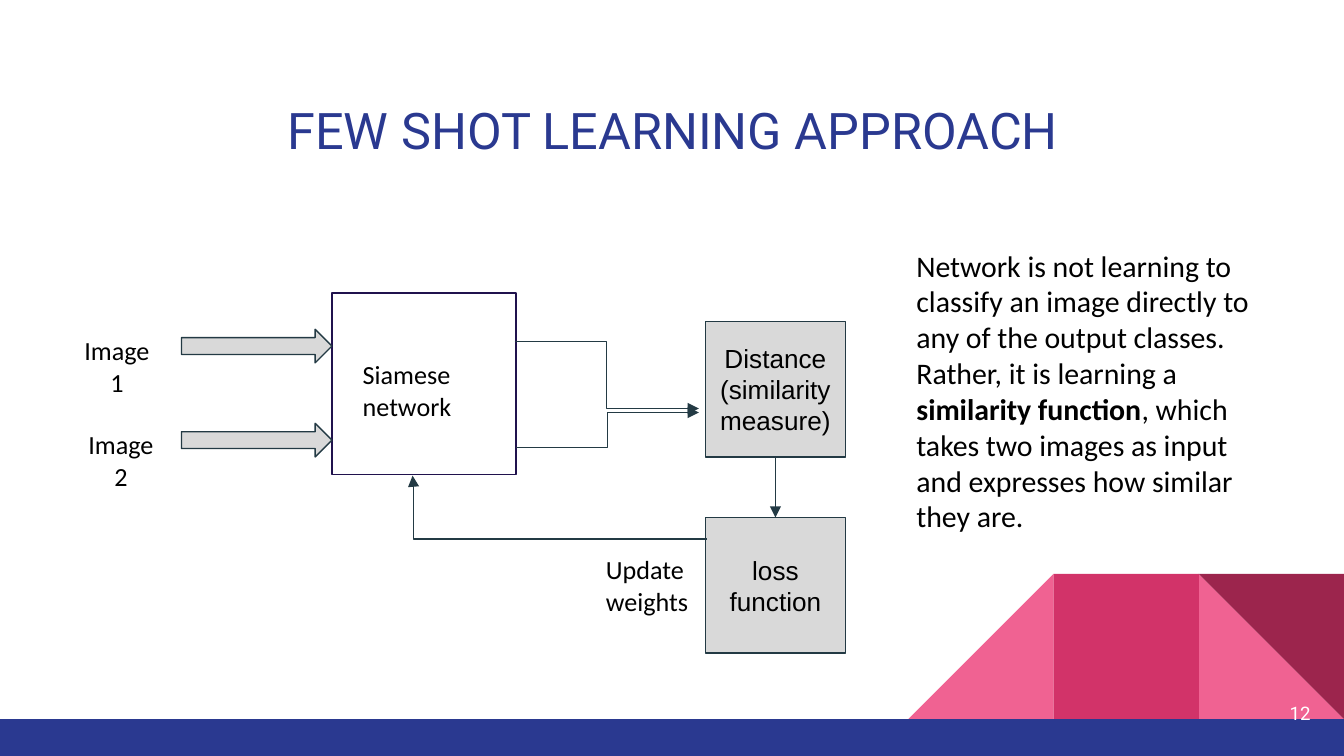
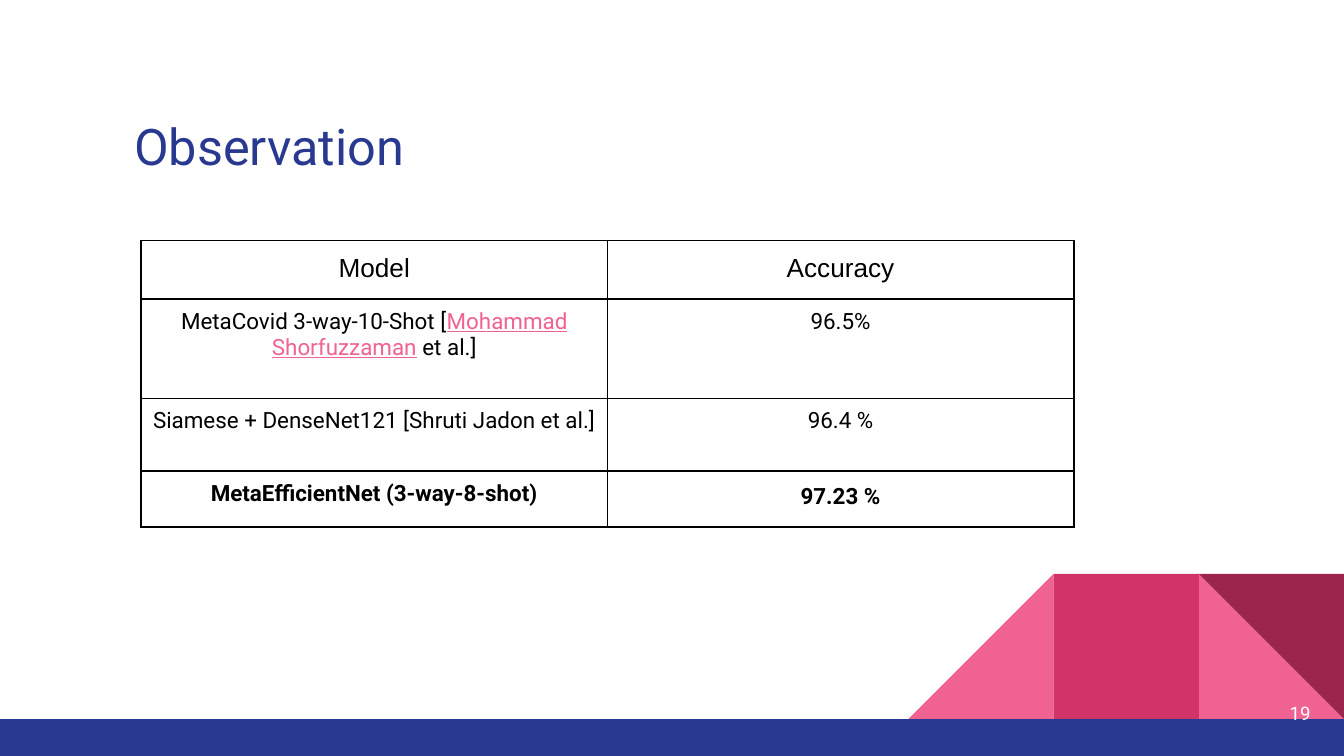
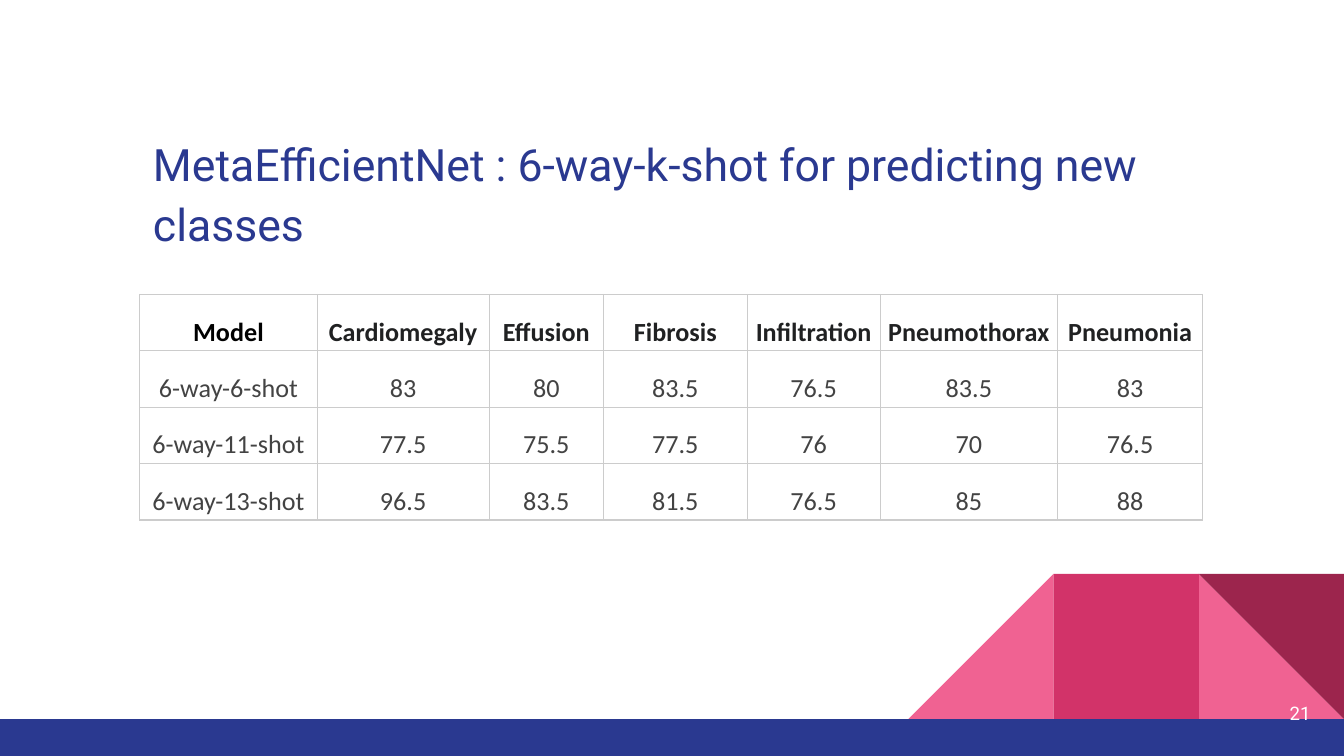
from dataclasses import dataclass, replace
from typing import NamedTuple, Optional, Sequence

from lxml import etree
from pptx import Presentation
from pptx.dml.color import RGBColor
from pptx.enum.shapes import MSO_CONNECTOR as Link, MSO_SHAPE as Geo
from pptx.enum.text import MSO_ANCHOR as Anchor, PP_ALIGN as Align
from pptx.oxml.ns import qn
from pptx.util import Inches, Pt

BLACK = RGBColor(0x00, 0x00, 0x00)
WHITE = RGBColor(0xFF, 0xFF, 0xFF)
NAVY = RGBColor(0x2A, 0x39, 0x90)
PINK = RGBColor(0xF0, 0x62, 0x92)
ROSE = RGBColor(0xD2, 0x33, 0x69)
WINE = RGBColor(0x9C, 0x25, 0x4D)
SLATE = RGBColor(0x23, 0x3A, 0x44)
INDIGO = RGBColor(0x20, 0x12, 0x4D)
LIGHT_GRAY = RGBColor(0xD9, 0xD9, 0xD9)
GRID_GRAY = RGBColor(0xCC, 0xCC, 0xCC)
HEADING_GRAY = RGBColor(0x20, 0x21, 0x22)
VALUE_GRAY = RGBColor(0x43, 0x43, 0x43)

SLIDE_W, SLIDE_H = 10, 5.625
BAND_TOP = 5.35
TILE = 1.08


class Box(NamedTuple):
    left: float
    top: float
    width: float
    height: float


@dataclass(frozen=True)
class Run:
    text: str
    size: float = 14
    font: str = "Calibri"
    color: RGBColor = BLACK
    bold: bool = False
    underline: bool = False


@dataclass(frozen=True)
class TextStyle:
    align: Align = Align.LEFT
    anchor: Anchor = Anchor.TOP
    spacing: float = 1.0


@dataclass(frozen=True)
class Node:
    box: Box
    geo: Geo = Geo.RECTANGLE
    fill: RGBColor = LIGHT_GRAY
    line: RGBColor = SLATE
    text: str = ""


@dataclass(frozen=True)
class Label:
    text: str
    box: Box
    align: Align = Align.LEFT


@dataclass(frozen=True)
class Arrow:
    start: tuple[float, float]
    end: tuple[float, float]
    bend: Optional[float] = None


@dataclass(frozen=True)
class Cell:
    runs: Sequence[Run]
    margins: tuple[float, float]
    style: TextStyle


CENTER = TextStyle(Align.CENTER)
MIDDLE = TextStyle(Align.CENTER, Anchor.MIDDLE)


def inches(values: Sequence[float]) -> list[Inches]:
    return [Inches(v) for v in values]


def write_runs(tf, runs: Sequence[Run], style: TextStyle) -> None:
    p = tf.paragraphs[0]
    p.alignment = style.align
    p.line_spacing = style.spacing
    for run in runs:
        r = p.add_run()
        r.text = run.text
        r.font.size = Pt(run.size)
        r.font.name = run.font
        r.font.color.rgb = run.color
        r.font.bold = run.bold
        r.font.underline = run.underline


def write_frame(sp, runs: Sequence[Run], style: TextStyle) -> None:
    tf = sp.text_frame
    tf.word_wrap = True
    tf.vertical_anchor = style.anchor
    tf.margin_left = tf.margin_right = tf.margin_top = tf.margin_bottom = Inches(0.1)
    write_runs(tf, runs, style)


def add_text(s, box: Box, runs: Sequence[Run], style: TextStyle = TextStyle()) -> None:
    write_frame(s.shapes.add_textbox(*inches(box)), runs, style)


def add_figure(s, geo: Geo, box: Box, fill: RGBColor, line: Optional[RGBColor] = None):
    sp = s.shapes.add_shape(geo, *inches(box))
    sp.shadow.inherit = False
    sp.fill.solid()
    sp.fill.fore_color.rgb = fill
    if line is None:
        sp.line.fill.background()
    else:
        sp.line.color.rgb = line
        sp.line.width = Pt(0.75)
    return sp


def add_arrow(s, arrow: Arrow) -> None:
    """Draw a straight arrow, or an elbow that turns at the given share of its width."""
    kind = Link.STRAIGHT if arrow.bend is None else Link.ELBOW
    cn = s.shapes.add_connector(kind, *inches(arrow.start + arrow.end))
    cn.line.color.rgb = SLATE
    cn.line.width = Pt(0.75)
    etree.SubElement(cn.line._get_or_add_ln(), qn("a:tailEnd"), type="triangle")
    sp_pr = cn._element.spPr
    etree.SubElement(sp_pr, qn("a:effectLst"))
    if arrow.bend is not None:
        guides = sp_pr.find(qn("a:prstGeom")).find(qn("a:avLst"))
        formula = f"val {round(arrow.bend * 100000)}"
        etree.SubElement(guides, qn("a:gd"), name="adj1", fmla=formula)


def set_borders(cell, color: RGBColor, width: float) -> None:
    tc_pr = cell._tc.get_or_add_tcPr()
    for side in ("lnL", "lnR", "lnT", "lnB"):
        ln = etree.SubElement(tc_pr, qn(f"a:{side}"), w=str(Pt(width)))
        fill = etree.SubElement(ln, qn("a:solidFill"))
        etree.SubElement(fill, qn("a:srgbClr"), val=str(color))


def add_grid(s, left: float, top: float, widths: Sequence[float], heights: Sequence[float],
             rows: Sequence[Sequence[Cell]], border: RGBColor, border_width: float) -> None:
    box = Box(left, top, sum(widths), sum(heights))
    table = s.shapes.add_table(len(heights), len(widths), *inches(box)).table
    table.first_row = table.horz_banding = False
    for column, width in zip(table.columns, widths):
        column.width = Inches(width)
    for row, height, cells in zip(table.rows, heights, rows):
        row.height = Inches(height)
        for target, cell in zip(row.cells, cells):
            side, end = inches(cell.margins)
            target.margin_left = target.margin_right = side
            target.margin_top = target.margin_bottom = end
            target.vertical_anchor = cell.style.anchor
            set_borders(target, border, border_width)
            target.fill.solid()
            target.fill.fore_color.rgb = WHITE
            write_runs(target.text_frame, cell.runs, cell.style)


def add_base_slide(prs, number: int):
    """Add a blank slide with the corner tiles, the bottom band and the page number."""
    s = prs.slides.add_slide(prs.slide_layouts[6])
    tiles = [Box(SLIDE_W - n * TILE, BAND_TOP - TILE, TILE, TILE) for n in (3, 2, 1)]
    add_figure(s, Geo.RIGHT_TRIANGLE, tiles[2], PINK)
    left_tile = add_figure(s, Geo.RIGHT_TRIANGLE, tiles[0], PINK)
    left_tile._element.spPr.find(qn("a:xfrm")).set("flipH", "1")
    add_figure(s, Geo.RECTANGLE, tiles[1], ROSE)
    add_figure(s, Geo.RIGHT_TRIANGLE, tiles[2], WINE).rotation = 180
    add_figure(s, Geo.RECTANGLE, Box(0, BAND_TOP, SLIDE_W, SLIDE_H - BAND_TOP), NAVY)
    add_text(s, Box(9.25, 5.09, 0.6, 0.43), [Run(str(number), 10, "Roboto", WHITE)],
             TextStyle(Align.RIGHT, Anchor.MIDDLE))
    return s


def title_run(text: str, size: float = 27) -> Run:
    return Run(text, size, "Roboto", NAVY)


def add_approach_slide(prs) -> None:
    s = add_base_slide(prs, 12)
    add_text(s, Box(0.9, 0.64, 8.21, 0.61), [title_run("FEW SHOT LEARNING APPROACH")], CENTER)
    add_text(s, Box(6.72, 1.74, 2.71, 2.36), [
        Run("Network is not learning to classify an image directly to any of the output "
            "classes. Rather, it is learning a ", 16),
        Run("similarity function", 16, bold=True),
        Run(", which takes two images as input and expresses how similar they are.", 16),
    ])
    nodes = [
        Node(Box(2.47, 2.18, 1.37, 1.35), fill=WHITE, line=INDIGO),
        Node(Box(1.35, 2.45, 1.12, 0.25), Geo.RIGHT_ARROW),
        Node(Box(1.35, 3.15, 1.12, 0.25), Geo.RIGHT_ARROW),
        Node(Box(5.25, 2.39, 1.04, 1.01), text="Distance (similarity measure)"),
        Node(Box(5.25, 3.85, 1.04, 1.01), text="loss function"),
    ]
    for node in nodes:
        sp = add_figure(s, node.geo, node.box, node.fill, node.line)
        if node.text:
            write_frame(sp, [Run(node.text, font="Arial")], MIDDLE)
    labels = [
        Label("Image 1", Box(0.49, 2.39, 0.76, 0.67), Align.CENTER),
        Label("Image 2", Box(0.55, 3.09, 0.7, 0.67), Align.CENTER),
        Label("Siamese network", Box(2.6, 2.57, 1.04, 0.67)),
        Label("Update weights", Box(4.41, 4.02, 0.84, 0.67)),
    ]
    for label in labels:
        add_text(s, label.box, [Run(label.text)], TextStyle(label.align))
    arrows = [
        Arrow((5.77, 3.4), (5.77, 3.85)),
        Arrow((5.26, 4.01), (3.07, 3.54), bend=0.997),
        Arrow((3.83, 2.54), (5.2, 3.04), bend=0.5),
        Arrow((3.84, 3.33), (5.2, 3.07), bend=0.5),
    ]
    for arrow in arrows:
        add_arrow(s, arrow)


def add_observation_slide(prs) -> None:
    s = add_base_slide(prs, 19)
    add_text(s, Box(0.9, 0.76, 8.21, 0.67), [title_run("Observation")])
    body = Run("", 12, "Roboto")
    heading = Run("", 14, "Arial")
    best = replace(body, bold=True)

    def body_cell(*runs: Run, spacing: float = 1.0) -> Cell:
        return Cell(runs, (0.07, 0.07), replace(CENTER, spacing=spacing))

    rows = [
        [Cell([replace(heading, text=text)], (0.1, 0.1), CENTER)
         for text in ("Model", "Accuracy")],
        [body_cell(replace(body, text="MetaCovid 3-way-10-Shot ["),
                   replace(body, text="Mohammad Shorfuzzaman", color=PINK, underline=True),
                   replace(body, text=" et al.]")),
         body_cell(replace(body, text="96.5%"))],
        [body_cell(replace(body, text="Siamese + DenseNet121 [Shruti Jadon et al.]")),
         body_cell(replace(body, text="96.4 %"))],
        [body_cell(replace(best, text="MetaEfficientNet (3-way-8-shot)")),
         body_cell(replace(best, text="97.23 %"), spacing=1.15)],
    ]
    add_grid(s, 1.05, 1.79, [3.47] * 2, [0.43, 0.74, 0.54, 0.42], rows, BLACK, 1)


def add_new_classes_slide(prs) -> None:
    s = add_base_slide(prs, 21)
    add_text(s, Box(1.04, 0.92, 8.06, 0.83), [
        title_run("MetaEfficientNet : 6-way-k-shot for predicting new classes", 23.9),
        title_run(" "),
    ])
    results = [
        ("Model", "Cardiomegaly", "Effusion", "Fibrosis", "Infiltration", "Pneumothorax",
         "Pneumonia"),
        ("6-way-6-shot", "83", "80", "83.5", "76.5", "83.5", "83"),
        ("6-way-11-shot", "77.5", "75.5", "77.5", "76", "70", "76.5"),
        ("6-way-13-shot", "96.5", "83.5", "81.5", "76.5", "85", "88"),
    ]

    def result_cell(row: int, col: int) -> Cell:
        heading_color = HEADING_GRAY if col else BLACK
        color = VALUE_GRAY if row else heading_color
        spacing = 1.15 if row or col else 1.0
        return Cell([Run(results[row][col], color=color, bold=row == 0)], (0.03, 0.02),
                    TextStyle(Align.CENTER, Anchor.BOTTOM, spacing))

    rows = [[result_cell(row, col) for col in range(len(results[row]))]
            for row in range(len(results))]
    widths = [1.32, 1.28, 0.85, 1.07, 0.99, 1.32, 1.08]
    add_grid(s, 1.04, 2.19, widths, [0.42] * len(rows), rows, GRID_GRAY, 0.75)


def main() -> None:
    prs = Presentation()
    prs.slide_width, prs.slide_height = Inches(SLIDE_W), Inches(SLIDE_H)
    add_approach_slide(prs)
    add_observation_slide(prs)
    add_new_classes_slide(prs)
    prs.save("out.pptx")


if __name__ == "__main__":
    main()
